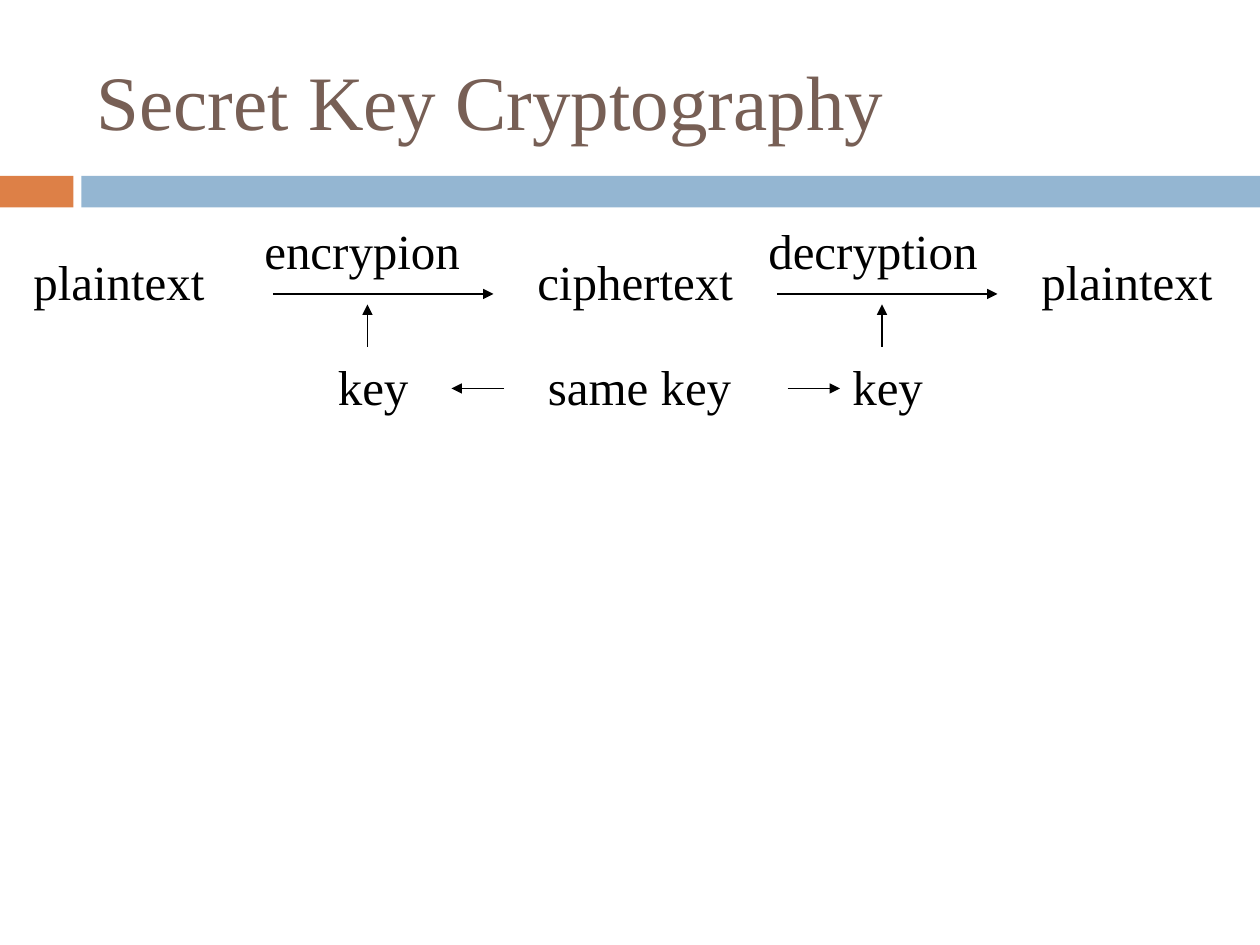
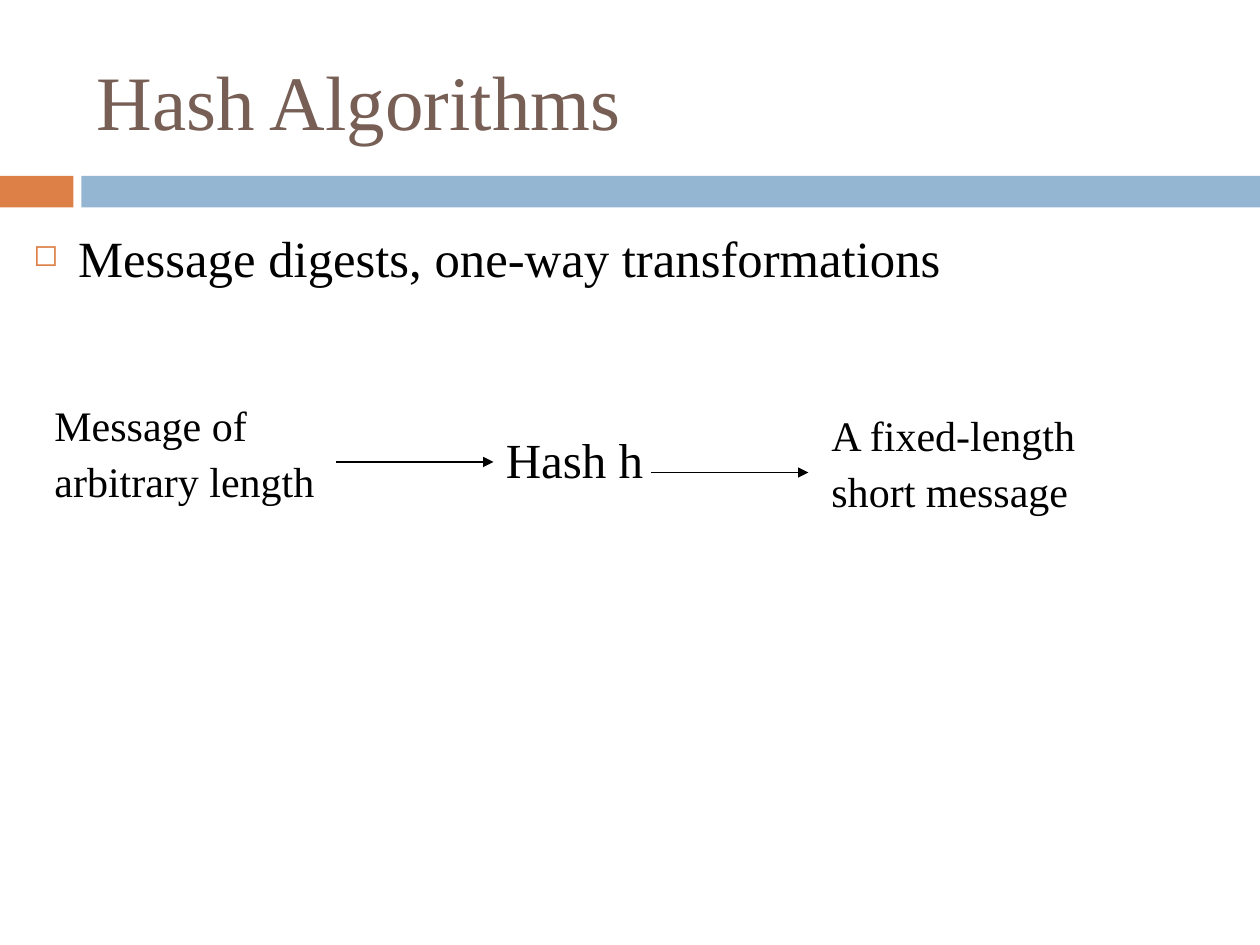
from lxml import etree
from pptx import Presentation
from pptx.dml.color import RGBColor
from pptx.enum.shapes import MSO_CONNECTOR as CONN, MSO_SHAPE as SHAPE
from pptx.enum.text import MSO_ANCHOR as ANCHOR, PP_ALIGN as ALIGN
from pptx.oxml.ns import qn
from pptx.util import Pt

PX = 9525  # EMU per px, 96 px to the inch
FONT = "Times New Roman"
BLACK = RGBColor(0x00, 0x00, 0x00)
BROWN = RGBColor(0x77, 0x5F, 0x55)
ORANGE = RGBColor(0xDD, 0x80, 0x47)
BLUE = RGBColor(0x94, 0xB6, 0xD2)


def px(*lengths):
    return [n * PX for n in lengths]


def style(p, size, color=BLACK):
    p.alignment = ALIGN.LEFT
    for r in p.runs:
        r.font.name = FONT
        r.font.size = Pt(size)
        r.font.color.rgb = color


def add_band(s, x, w, color):
    sp = s.shapes.add_shape(SHAPE.RECTANGLE, *px(x, 134, w, 24))
    sp.shadow.inherit = False
    sp.fill.solid()
    sp.fill.fore_color.rgb = color
    sp.line.fill.background()


def add_slide(prs, title):
    """Add a title-only slide with the shared bands and title style."""
    s = prs.slides.add_slide(prs.slide_layouts[5])
    add_band(s, 0, 56, ORANGE)
    add_band(s, 62, 898, BLUE)
    sp = s.shapes.title
    sp.left, sp.top, sp.width, sp.height = px(64, 24, 856, 104)
    tf = sp.text_frame
    tf.text = title
    tf.vertical_anchor = ANCHOR.MIDDLE
    style(tf.paragraphs[0], 44, BROWN)
    return s


def add_text(s, x, y, w, h, text, size):
    tf = s.shapes.add_textbox(*px(x, y, w, h)).text_frame
    tf.word_wrap = True
    tf.text = text
    for p in tf.paragraphs:
        style(p, size)
    return tf


def add_label(s, x, y, w, text, size=28, h=56):
    tf = add_text(s, x, y, w, h, text, size)
    for i, p in enumerate(tf.paragraphs):
        p.line_spacing = 0.9
        p.space_before = Pt(6 if i else 0)


def add_bullet(s, x, y, w, h, text, size):
    p = add_text(s, x, y, w, h, text, size).paragraphs[0]
    pPr = p._p.get_or_add_pPr()
    pPr.set("marL", str(34 * PX))
    pPr.set("indent", str(-34 * PX))
    color = etree.SubElement(pPr, qn("a:buClr"))
    etree.SubElement(color, qn("a:srgbClr"), val=str(ORANGE))
    etree.SubElement(pPr, qn("a:buSzPct"), val="60000")
    etree.SubElement(pPr, qn("a:buChar"), char="◻")


def add_arrow(s, x1, y1, x2, y2):
    c = s.shapes.add_connector(CONN.STRAIGHT, *px(x1, y1, x2, y2))
    c.line.color.rgb = BLACK
    c.line.width = Pt(0.75)
    etree.SubElement(c.line._get_or_add_ln(), qn("a:tailEnd"), type="triangle")
    etree.SubElement(c._element.spPr, qn("a:effectLst"))


def build_secret_key(prs):
    s = add_slide(prs, "Secret Key Cryptography")
    for x, w, text in ((16, 160, "plaintext"), (400, 184, "ciphertext"),
                       (784, 160, "plaintext")):
        add_label(s, x, 192, w, text)
    for x, key_x, step in ((192, 248, "encrypion"), (576, 640, "decryption")):
        add_label(s, x, 168, 192, step, h=48)
        add_arrow(s, x + 16, 224, x + 184, 224)
        add_label(s, key_x, 272, 88, "key")
        add_arrow(s, key_x + 32, 264, key_x + 32, 232)
    add_label(s, 408, 272, 200, "same key")
    add_arrow(s, 384, 296, 344, 296)
    add_arrow(s, 600, 296, 640, 296)


def build_hash(prs):
    s = add_slide(prs, "Hash Algorithms")
    add_bullet(s, 16, 168, 896, 475,
               "Message digests, one-way transformations", 29)
    add_label(s, 32, 304, 272, "Message of\narbitrary length", 24, 88)
    add_arrow(s, 256, 352, 376, 352)
    add_label(s, 376, 328, 152, "Hash h")
    add_arrow(s, 496, 360, 616, 360)
    add_label(s, 624, 312, 272, "A fixed-length\nshort message", 24, 88)


def main():
    prs = Presentation()
    prs.slide_width, prs.slide_height = px(960, 720)
    build_secret_key(prs)
    build_hash(prs)
    prs.save("out.pptx")


if __name__ == "__main__":
    main()
